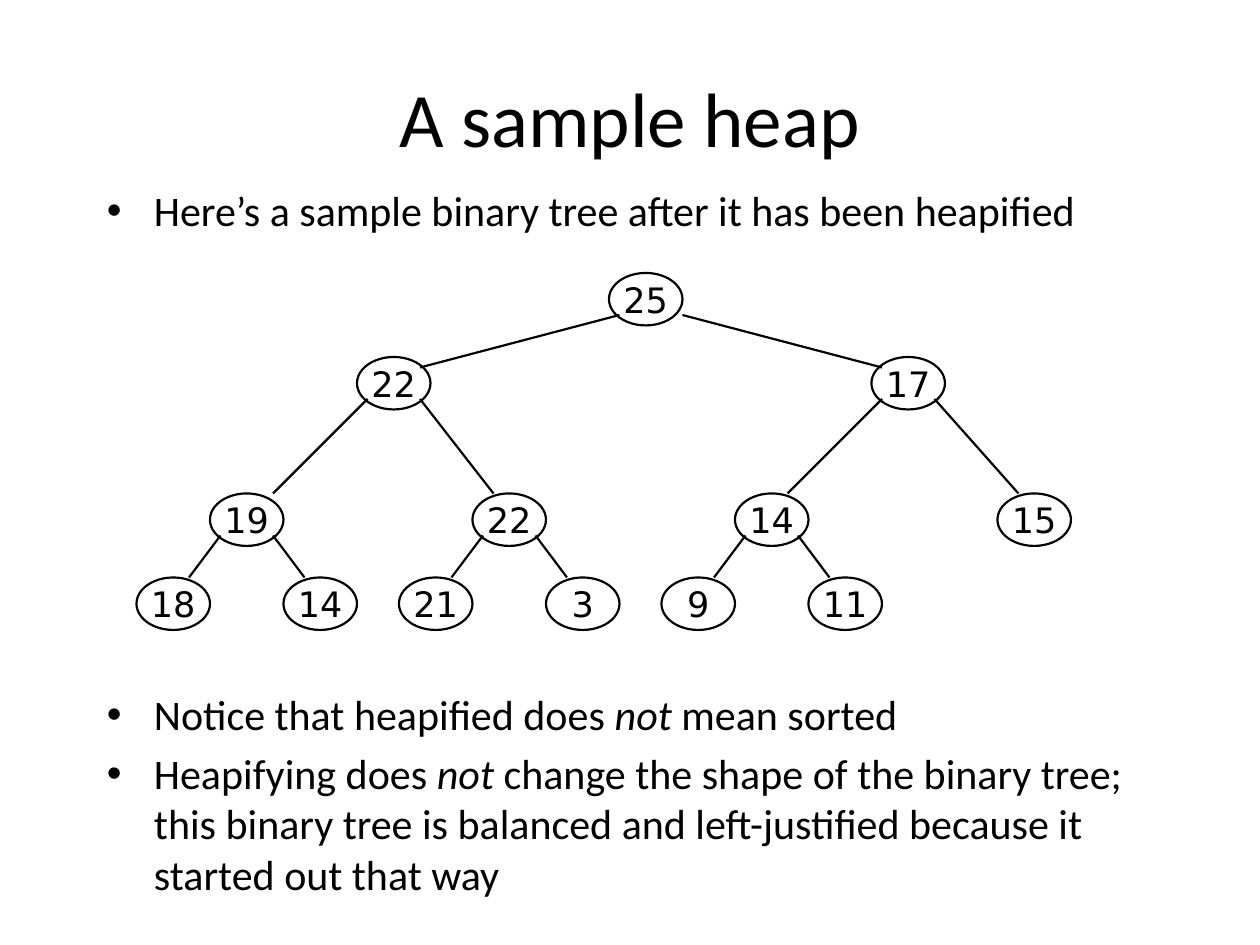
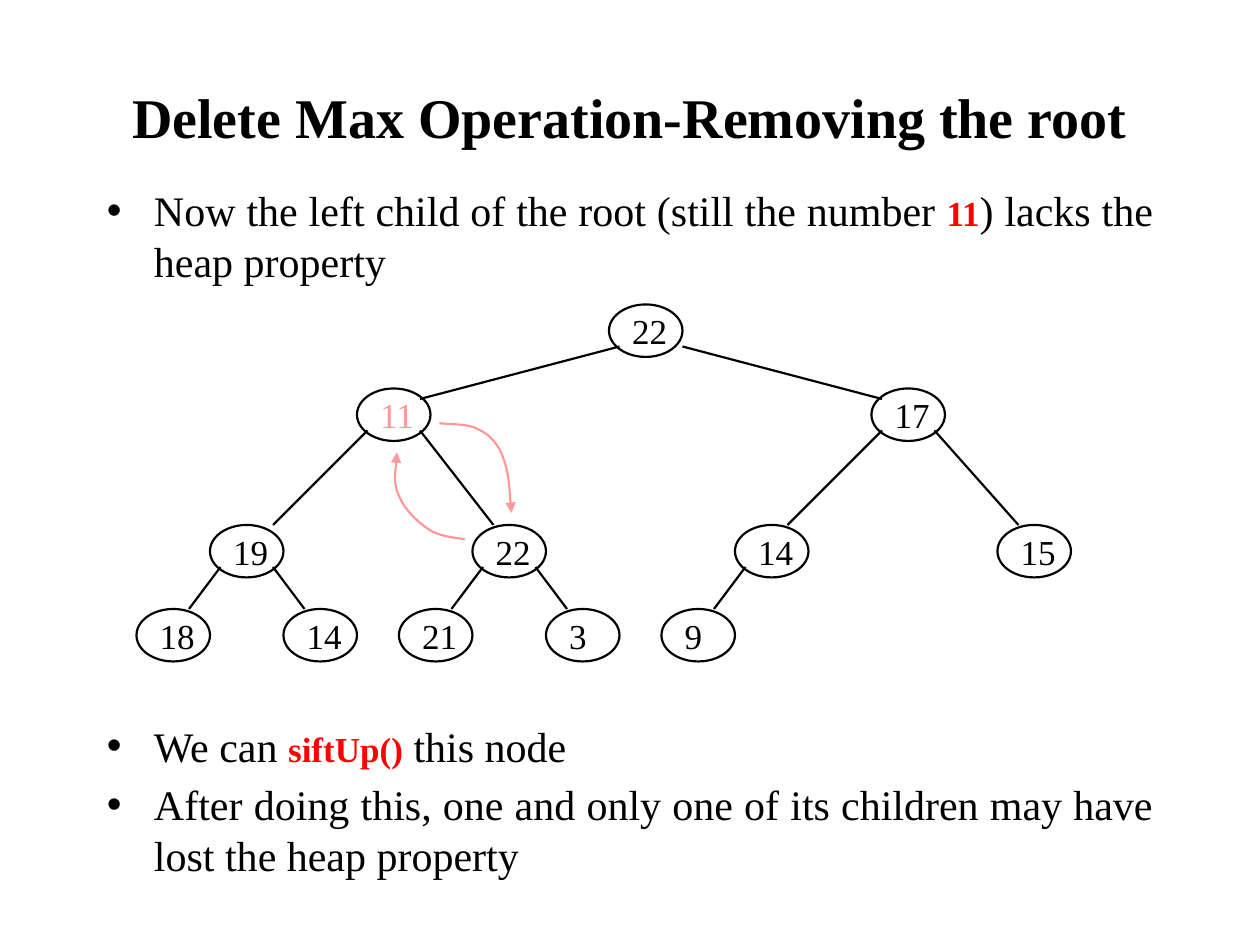
import dataclasses

import pptx
import pptx.dml.color
import pptx.enum.shapes
import pptx.enum.text
import pptx.oxml
import pptx.oxml.ns
import pptx.util

ALIGN = pptx.enum.text.PP_ALIGN
ANCHOR = pptx.enum.text.MSO_ANCHOR


@dataclasses.dataclass(frozen=True)
class Theme:
    ink: str = "000000"
    red: str = "FF0000"
    pink: str = "FF9999"
    body: float = 24
    small: float = 20
    gap: float = 4.8
    line: float = 1.25


THEME = Theme()

# Run styles that differ from the plain text
ITALIC = {"italic": True}
KEY = {"bold": True, "color": THEME.red, "size": THEME.small}

# Content: boxes are left, top, width, height in grid steps
TITLE_BOX = (6, 3.6, 108, 15)
SLIDES = [
    {
        "title": ("A sample heap", {"size": 44, "font": "Calibri"}),
        "font": "Calibri",
        "align": ALIGN.LEFT,
        "texts": [
            ((9, 17, 102, 10),
             [[("Here’s a sample binary tree after it has been heapified", {})]]),
            ((9, 65, 102, 22),
             [[("Notice that heapified does ", {}), ("not", ITALIC),
               (" mean sorted", {})],
              [("Heapifying does ", {}), ("not", ITALIC),
               (" change the shape of the binary tree; this binary tree is "
                "balanced and left-justified because it started out that way", {})]]),
        ],
        "heap": [25, 22, 17, 19, 22, 14, 15, 18, 14, 21, 3, 9, 11],
        "label": {"font": "DejaVu Sans", "align": ALIGN.CENTER},
        "drop": 0,
        "marked": None,
        "swaps": [],
    },
    {
        "title": ("Delete Max Operation-Removing the root",
                  {"size": 32, "font": "Times New Roman", "bold": True}),
        "font": "Times New Roman",
        "align": ALIGN.JUSTIFY,
        "texts": [
            ((9, 17, 102, 13),
             [[("Now the left child of the root (still the number ", {}),
               ("11", KEY), (") lacks the heap property", {})]]),
            ((9, 68, 102, 19),
             [[("We can ", {}), ("siftUp()", KEY), (" this node", {})],
              [("After doing this, one and only one of its children may have "
                "lost the heap property", {})]]),
        ],
        "heap": [22, 11, 17, 19, 22, 14, 15, 18, 14, 21, 3, 9],
        "label": {"font": "Times New Roman", "align": ALIGN.JUSTIFY},
        "drop": 3,
        "marked": 1,
        # Bezier points in centimetres: a start, then three per curve
        "swaps": [
            [(8.86, 8.53), (8.99, 8.56), (9.45, 8.53), (9.65, 8.66), (9.88, 8.76),
             (10.06, 8.97), (10.16, 9.27), (10.26, 9.55), (10.29, 10.11),
             (10.31, 10.34)],
            [(9.37, 10.87), (9.25, 10.85), (8.84, 10.82), (8.64, 10.67),
             (8.41, 10.52), (8.15, 10.26), (8.05, 10.01), (7.92, 9.75),
             (8, 9.3), (8, 9.12)],
        ],
    },
]

# Tree layout in grid steps, nodes numbered in heap order
NODE_W, NODE_H = 7, 5
TOPS = [26, 34, 47, 55]
LEFTS = [58, 34, 83] + [20 + 25 * k for k in range(4)]
LEFTS += [x + side for x in LEFTS[3:] for side in (-7, 7)]

# Edge ends: x in the parent, x in the child, y in the child
LEFT_EDGE, RIGHT_EDGE = (1, 5, 0), (6, 2, 0)
WIDE_EDGES = {1: (1, 6, 1), 2: (7, 1, 1), 3: (1, 6, 0)}


def grid(*steps):
    """Turn grid steps (a twelfth of an inch) into lengths."""
    return [pptx.util.Cm(step * 2.54 / 12) for step in steps]


def tint(code):
    return pptx.dml.color.RGBColor.from_string(code)


def node(tag, **attrs):
    item = pptx.oxml.parse_xml(
        f'<a:{tag} xmlns:a="http://schemas.openxmlformats.org/drawingml/2006/main"/>')
    for name, value in attrs.items():
        item.set(name, value)
    return item


def write(shape, paras, font="Calibri", size=THEME.body, color=THEME.ink,
          bold=False, align=ALIGN.LEFT, anchor=ANCHOR.TOP, wrap=True, bullet=False):
    """Fill a shape with paragraphs, each a list of (text, changes) runs."""
    frame = shape.text_frame
    frame.word_wrap = wrap
    frame.vertical_anchor = anchor
    base = {"size": size, "color": color, "bold": bold, "italic": False}
    for i, runs in enumerate(paras):
        para = frame.paragraphs[0] if i == 0 else frame.add_paragraph()
        para.alignment = align
        if bullet:
            props = para._p.get_or_add_pPr()
            hang = pptx.util.Cm(0.95)
            props.set("marL", str(hang))
            props.set("indent", str(-hang))
            props.append(node("buFont", typeface="Arial"))
            props.append(node("buChar", char="•"))
        if i:
            para.space_before = pptx.util.Pt(THEME.gap)
        for text, changes in runs:
            look = {**base, **changes}
            run = para.add_run()
            run.text = text
            run.font.name = font
            run.font.size = pptx.util.Pt(look["size"])
            run.font.bold = look["bold"]
            run.font.italic = look["italic"]
            run.font.color.rgb = tint(look["color"])


def stroke(shape, color=THEME.ink):
    shape.line.color.rgb = tint(color)
    shape.line.width = pptx.util.Pt(THEME.line)


def place(i, drop):
    """Left and top of heap node i."""
    level = (i + 1).bit_length() - 1
    return LEFTS[i], TOPS[level] + drop


def draw_edge(slide, i, drop):
    px, py = place((i - 1) // 2, drop)
    x, y = place(i, drop)
    start, end, dip = WIDE_EDGES.get(i, LEFT_EDGE if i % 2 else RIGHT_EDGE)
    edge = slide.shapes.add_connector(
        pptx.enum.shapes.MSO_CONNECTOR.STRAIGHT,
        *grid(px + start, py + 4, x + end, y + dip))
    stroke(edge)
    edge._element.spPr.append(node("effectLst"))


def draw_heap(slide, heap, label, drop, marked):
    for i, value in enumerate(heap):
        oval = slide.shapes.add_shape(pptx.enum.shapes.MSO_SHAPE.OVAL,
                                      *grid(*place(i, drop), NODE_W, NODE_H))
        oval.shadow.inherit = False
        oval.fill.background()
        stroke(oval)
        write(oval, [[(str(value), {})]], size=THEME.small, anchor=ANCHOR.MIDDLE,
              wrap=False, color=THEME.pink if i == marked else THEME.ink, **label)
        if i:
            draw_edge(slide, i, drop)


def draw_swap(slide, points):
    """Draw a curved arrow through Bezier points."""
    spots = [(pptx.util.Cm(x), pptx.util.Cm(y)) for x, y in points]
    pen = slide.shapes.build_freeform(*spots[0])
    pen.add_line_segments(spots[1:], close=False)
    arrow = pen.convert_to_shape()
    arrow.shadow.inherit = False
    arrow.fill.background()
    stroke(arrow, THEME.pink)
    arrow.line._get_or_add_ln().append(node("tailEnd", type="triangle"))
    # Join each three straight segments into one cubic curve
    steps = list(arrow._element.iter(pptx.oxml.ns.qn("a:lnTo")))
    for k in range(0, len(steps), 3):
        curve = node("cubicBezTo")
        steps[k].addprevious(curve)
        for step in steps[k:k + 3]:
            curve.append(step[0])
            step.getparent().remove(step)


def build(deck, data):
    slide = deck.slides.add_slide(deck.slide_layouts[6])
    # Title and bullets
    text, look = data["title"]
    write(slide.shapes.add_textbox(*grid(*TITLE_BOX)), [[(text, {})]],
          align=ALIGN.CENTER, anchor=ANCHOR.MIDDLE, **look)
    for box, paras in data["texts"]:
        write(slide.shapes.add_textbox(*grid(*box)), paras, font=data["font"],
              align=data["align"], bullet=True)
    # Tree and swap arrows
    draw_heap(slide, data["heap"], data["label"], data["drop"], data["marked"])
    for points in data["swaps"]:
        draw_swap(slide, points)


def main():
    deck = pptx.Presentation()
    deck.slide_width, deck.slide_height = pptx.util.Cm(25.4), pptx.util.Cm(19.05)
    for data in SLIDES:
        build(deck, data)
    deck.save("out.pptx")


if __name__ == "__main__":
    main()
